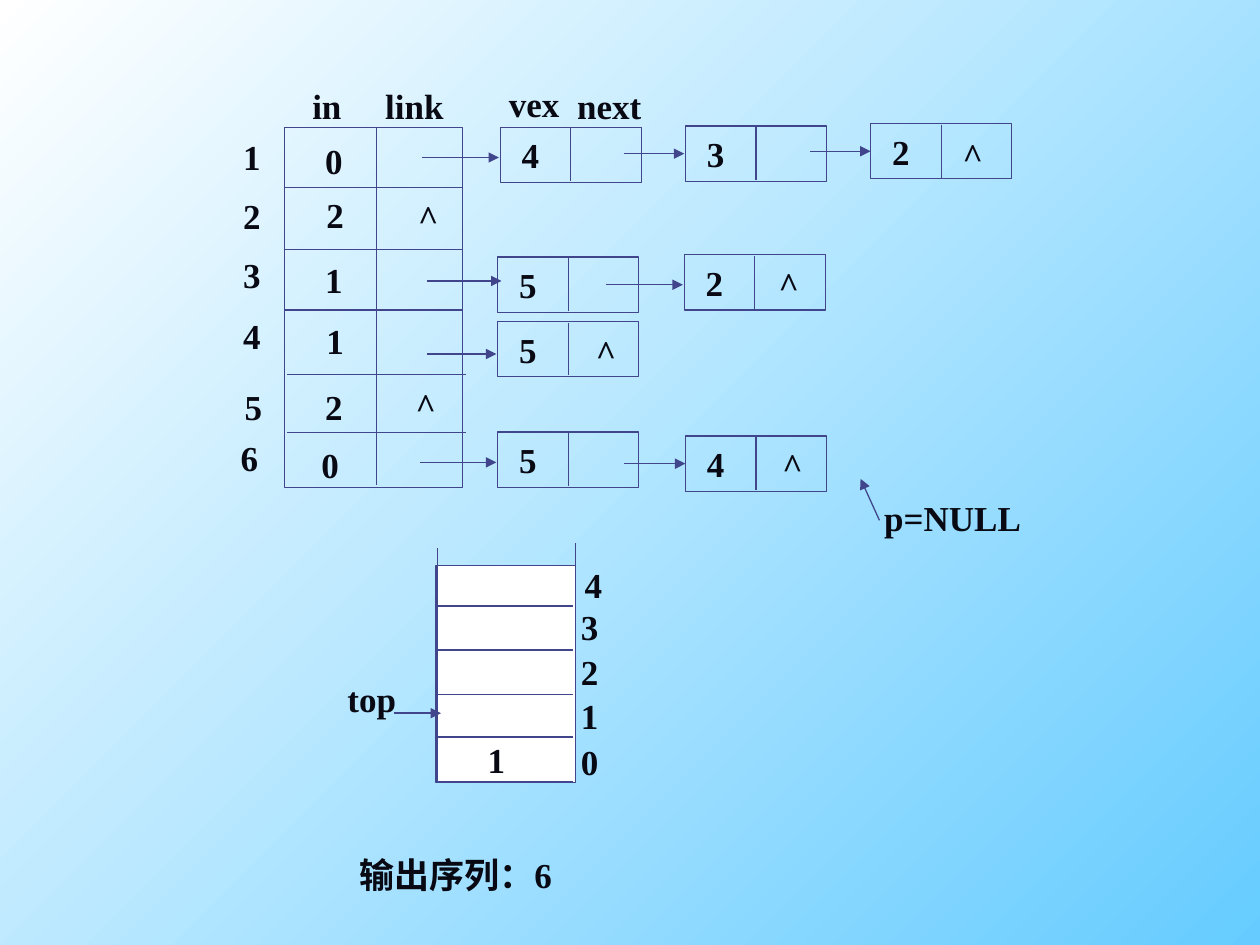
from typing import NamedTuple, Optional

from lxml.etree import SubElement
from pptx import Presentation
from pptx.dml.color import RGBColor
from pptx.enum.shapes import MSO_CONNECTOR, MSO_SHAPE
from pptx.enum.text import MSO_ANCHOR, MSO_AUTO_SIZE, PP_ALIGN
from pptx.oxml.ns import qn
from pptx.util import Inches, Pt

COLORS = {"line": "40458C", "text": "080912", "cell": "FFFFFF",
          "sky": "66CCFF", "light": "FFFFFF"}
FONT = "Times New Roman"
TEXT_H = 0.44
NODE_W = 1.12
DIGIT_W, MARK_W = 0.34, 0.36


class Label(NamedTuple):
    text: str
    x: float
    y: float
    w: float = DIGIT_W


class Node(NamedTuple):
    value: str
    x: float
    y: float
    null: Optional[tuple[float, float]] = None  # place of the ^ mark


class Line(NamedTuple):
    x1: float
    y1: float
    x2: float
    y2: float


def rgb(name: str) -> RGBColor:
    return RGBColor.from_string(COLORS[name])


def write(sp, text: str, align=PP_ALIGN.CENTER) -> None:
    tf = sp.text_frame
    tf.vertical_anchor = MSO_ANCHOR.MIDDLE
    p = tf.paragraphs[0]
    p.text = text
    p.alignment = align
    p.font.name, p.font.size, p.font.bold = FONT, Pt(20), True
    p.font.color.rgb = rgb("text")


def add_label(s, label: Label) -> None:
    sp = s.shapes.add_textbox(Inches(label.x), Inches(label.y),
                              Inches(label.w), Inches(TEXT_H))
    tf = sp.text_frame
    tf.word_wrap = False
    tf.auto_size = MSO_AUTO_SIZE.SHAPE_TO_FIT_TEXT
    tf.margin_left = tf.margin_right = Inches(0.05)  # keeps each label on one line
    write(sp, label.text)


def add_box(s, x: float, y: float, w: float, h: float, fill: Optional[str] = None):
    sp = s.shapes.add_shape(MSO_SHAPE.RECTANGLE, Inches(x), Inches(y),
                            Inches(w), Inches(h))
    sp.shadow.inherit = False
    if fill:
        sp.fill.solid()
        sp.fill.fore_color.rgb = rgb(fill)
    else:
        sp.fill.background()
    sp.line.color.rgb = rgb("line")
    sp.line.width = Pt(0.75)
    return sp


def add_line(s, line: Line, arrow: bool = False) -> None:
    c = s.shapes.add_connector(MSO_CONNECTOR.STRAIGHT, *map(Inches, line))
    c.line.color.rgb = rgb("line")
    c.line.width = Pt(0.75)
    if arrow:
        SubElement(c.line._get_or_add_ln(), qn("a:tailEnd"), type="triangle")
    SubElement(c._element.spPr, qn("a:effectLst"))


def add_node(s, node: Node) -> None:
    sp = add_box(s, node.x, node.y, NODE_W, TEXT_H)
    sp.text_frame.margin_left = Inches(0.17)
    write(sp, node.value, PP_ALIGN.LEFT)
    mid = node.x + NODE_W / 2
    add_line(s, Line(mid, node.y + 0.01, mid, node.y + TEXT_H - 0.01))
    if node.null:
        add_label(s, Label("^", *node.null, MARK_W))


HEADINGS = [Label("in", 2.38, 0.62, 0.43), Label("link", 2.96, 0.62, 0.66),
            Label("vex", 3.94, 0.6, 0.6), Label("next", 4.48, 0.62, 0.71)]
ROW_NUMBERS = [(1.83, 1.02), (1.83, 1.49), (1.83, 1.96),
               (1.83, 2.44), (1.84, 3.01), (1.81, 3.41)]
IN_DEGREES = [Label("0", 2.48, 1.05), Label("2", 2.49, 1.48), Label("1", 2.48, 2),
              Label("1", 2.49, 2.48), Label("2", 2.48, 3.01), Label("0", 2.45, 3.47)]
EMPTY_LINKS = [Label("^", 3.22, 1.5, MARK_W), Label("^", 3.2, 2.99, MARK_W)]
ROW_RULES = [(2.25, 1.49), (2.25, 1.98), (2.25, 2.46), (2.28, 2.97), (2.28, 3.43)]
NODES = [
    Node("4", 3.97, 1.01), Node("3", 5.44, 1), Node("2", 6.91, 0.98, (7.54, 1.01)),
    Node("5", 3.95, 2.04), Node("2", 5.43, 2.02, (6.08, 2.03)),
    Node("5", 3.95, 2.55, (4.63, 2.57)),
    Node("5", 3.95, 3.43), Node("4", 5.44, 3.46, (6.11, 3.47)),
]
# Level arrows: start, end, height
LINK_ARROWS = [
    (3.35, 3.96, 1.25), (4.95, 5.43, 1.22), (6.43, 6.91, 1.2),
    (3.39, 3.98, 2.23), (4.81, 5.42, 2.26), (3.39, 3.94, 2.81),
    (3.33, 3.94, 3.67), (4.95, 5.44, 3.68), (3.13, 3.5, 5.66),
]
STACK_X, STACK_TOP, STACK_W, STACK_H = 3.46, 4.49, 1.11, 1.72
STACK_RULES = [4.81, 5.16, 5.51, 5.85, 6.2]
STACK_INDEXES = [Label("4", 4.54, 4.42), Label("3", 4.51, 4.75), Label("2", 4.51, 5.11),
                 Label("1", 4.51, 5.46), Label("0", 4.51, 5.82)]
NOTES = [Label("1", 3.77, 5.81), Label("top", 2.66, 5.32, 0.58),
         Label("p=NULL", 6.92, 3.89, 1.28), Label("输出序列：6", 2.72, 6.72, 1.79)]


def main() -> None:
    prs = Presentation()
    prs.slide_width, prs.slide_height = Inches(10), Inches(7.5)
    s = prs.slides.add_slide(prs.slide_layouts[6])

    # Background, light at the top left
    fill = s.background.fill
    fill.gradient()
    fill.gradient_angle = 135
    for stop, name, position in zip(fill.gradient_stops, ("sky", "light"), (0, 1)):
        stop.color.rgb = rgb(name)
        stop.position = position

    # Vertex table
    add_box(s, 2.26, 1.01, 1.41, 2.86)
    add_line(s, Line(2.99, 1.01, 2.99, 3.85))
    for x, y in ROW_RULES:
        add_line(s, Line(x, y, x + 1.42, y))
    for number, (x, y) in enumerate(ROW_NUMBERS, 1):
        add_label(s, Label(str(number), x, y))

    # Adjacency lists
    for node in NODES:
        add_node(s, node)

    # Stack with its open top
    add_box(s, STACK_X, STACK_TOP, STACK_W, STACK_H, "cell")
    add_line(s, Line(3.47, 4.35, 3.47, 6.2))
    add_line(s, Line(4.57, 4.31, 4.57, 6.18))
    for y in STACK_RULES:
        add_line(s, Line(3.45, y, 4.55, y))

    # Arrows and labels
    for x1, x2, y in LINK_ARROWS:
        add_line(s, Line(x1, y, x2, y), arrow=True)
    add_line(s, Line(6.98, 4.13, 6.83, 3.8), arrow=True)
    for label in HEADINGS + IN_DEGREES + EMPTY_LINKS + STACK_INDEXES + NOTES:
        add_label(s, label)

    prs.save("out.pptx")


if __name__ == "__main__":
    main()
